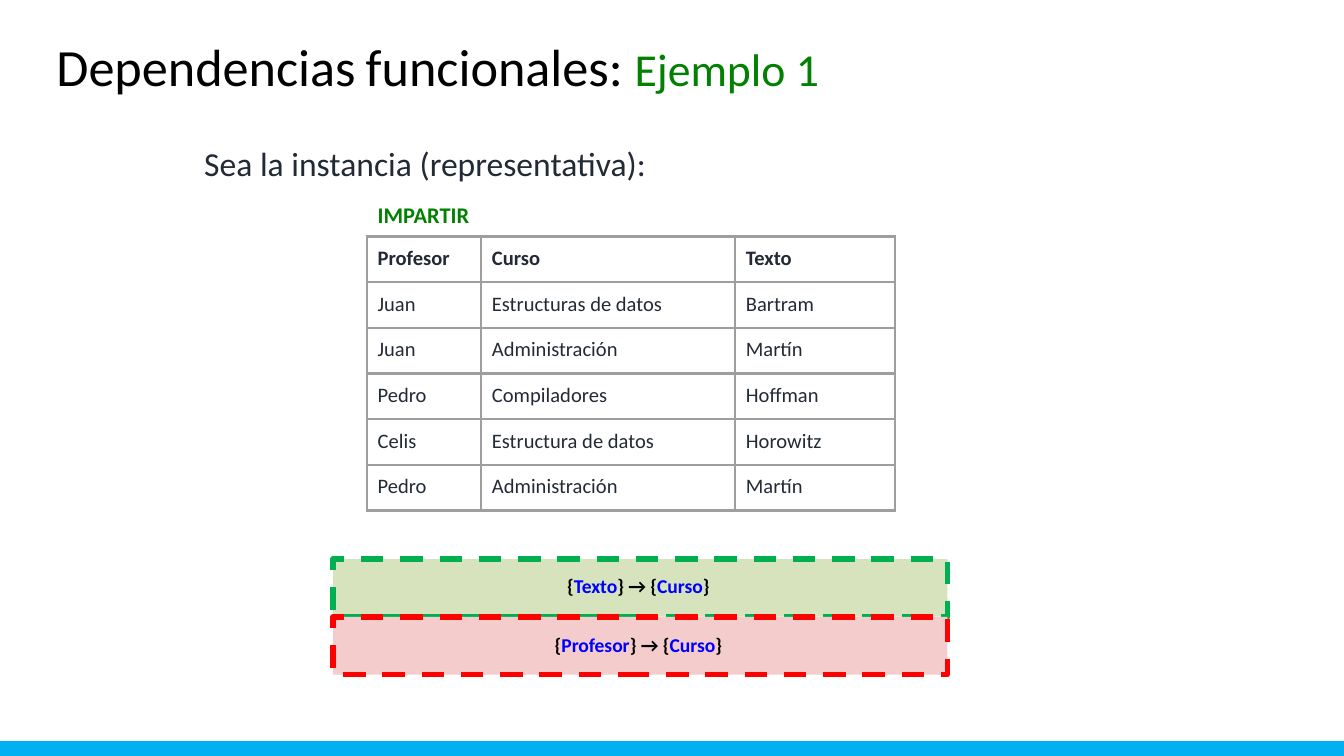
from dataclasses import dataclass
from typing import NamedTuple

from lxml.etree import SubElement
from pptx import Presentation
from pptx.dml.color import RGBColor
from pptx.enum.dml import MSO_LINE
from pptx.enum.shapes import MSO_SHAPE
from pptx.enum.text import MSO_ANCHOR, PP_ALIGN
from pptx.oxml.ns import qn
from pptx.util import Inches, Pt


@dataclass(frozen=True)
class Theme:
    font: str = "Calibri"
    black: str = "000000"
    dark: str = "222A35"
    green: str = "028001"
    blue: str = "0000FF"
    sky: str = "00B0F0"
    grid: str = "9E9E9E"
    title: float = 28
    space: float = 24
    subtitle: float = 24.5
    lead: float = 18
    caption: float = 12
    cell: float = 11
    rule: float = 10.5


class Run(NamedTuple):
    text: str
    size: float
    color: str
    bold: bool = False


class Box(NamedTuple):
    left: float
    top: float
    width: float
    height: float


class Dependency(NamedTuple):
    source: str
    target: str
    fill: str
    line: str


T = Theme()
SIDE = 0.08
PAD = 0.07
TABLE = Box(2.73, 1.76, 3.93, 2.04)
COLUMNS = (0.85, 1.89, 1.19)
ROWS = (
    ("Profesor", "Curso", "Texto"),
    ("Juan", "Estructuras de datos", "Bartram"),
    ("Juan", "Administración", "Martín"),
    ("Pedro", "Compiladores", "Hoffman"),
    ("Celis", "Estructura de datos", "Horowitz"),
    ("Pedro", "Administración", "Martín"),
)
BAND = Box(2.48, 4.16, 4.57, 0.43)
LABEL = Box(2.9, 4.2, 3.7, 0.32)
LABEL_STEP = 0.44
DEPENDENCIES = (
    Dependency("Texto", "Curso", "D6E3BC", "00B050"),
    Dependency("Profesor", "Curso", "F4CCCC", "FF0000"),
)


def rgb(color: str) -> RGBColor:
    return RGBColor.from_string(color)


def add_runs(p, runs: tuple[Run, ...]) -> None:
    for run in runs:
        r = p.add_run()
        r.text = run.text
        font = {"name": T.font, "size": Pt(run.size), "bold": run.bold}
        for name, value in font.items():
            setattr(r.font, name, value)
        r.font.color.rgb = rgb(run.color)


def set_margins(target, pad: float) -> None:
    margins = {"left": SIDE, "right": SIDE, "top": pad, "bottom": pad}
    for side, value in margins.items():
        setattr(target, f"margin_{side}", Inches(value))


def add_text(s, box: Box, runs: tuple[Run, ...], pad: float = PAD,
             anchor=MSO_ANCHOR.TOP, **paragraph) -> None:
    tf = s.shapes.add_textbox(*map(Inches, box)).text_frame
    tf.word_wrap = True
    tf.vertical_anchor = anchor
    set_margins(tf, pad)
    p = tf.paragraphs[0]
    for name, value in paragraph.items():
        setattr(p, name, value)
    add_runs(p, runs)


def add_rect(s, box: Box, fill: str, line: str, width: float, dash=None) -> None:
    sp = s.shapes.add_shape(MSO_SHAPE.RECTANGLE, *map(Inches, box))
    sp.shadow.inherit = False
    sp.fill.solid()
    sp.fill.fore_color.rgb = rgb(fill)
    sp.line.color.rgb = rgb(line)
    sp.line.width = Pt(width)
    if dash is not None:
        sp.line.dash_style = dash


def border_cell(cell) -> None:
    tcPr = cell._tc.get_or_add_tcPr()
    for side in ("a:lnL", "a:lnR", "a:lnT", "a:lnB"):
        ln = SubElement(tcPr, qn(side), w=str(Pt(1.5)))
        fill = SubElement(ln, qn("a:solidFill"))
        SubElement(fill, qn("a:srgbClr"), val=T.grid)


def add_grid(s) -> None:
    table = s.shapes.add_table(len(ROWS), len(COLUMNS), *map(Inches, TABLE)).table
    table.first_row = table.horz_banding = False
    for column, width in zip(table.columns, COLUMNS):
        column.width = Inches(width)
    for i, row in enumerate(ROWS):
        table.rows[i].height = Inches(TABLE.height / len(ROWS))
        for j, text in enumerate(row):
            cell = table.cell(i, j)
            set_margins(cell, PAD)
            border_cell(cell)
            cell.fill.background()
            add_runs(cell.text_frame.paragraphs[0],
                     (Run(text, T.cell, T.dark, i == 0),))


def add_dependencies(s) -> None:
    for i, dep in enumerate(DEPENDENCIES):
        add_rect(s, BAND._replace(top=BAND.top + i * BAND.height),
                 dep.fill, dep.line, 3, MSO_LINE.DASH)
    for i, dep in enumerate(DEPENDENCIES):
        parts = ("{", dep.source, "} → {", dep.target, "}")
        runs = tuple(Run(text, T.rule, T.blue if j % 2 else T.black, True)
                     for j, text in enumerate(parts))
        add_text(s, LABEL._replace(top=LABEL.top + i * LABEL_STEP), runs,
                 alignment=PP_ALIGN.CENTER)


def main() -> None:
    prs = Presentation()
    prs.slide_width = Inches(10)
    prs.slide_height = Inches(10 * 9 / 16)
    s = prs.slides.add_slide(prs.slide_layouts[6])
    add_rect(s, Box(0, 5.52, 10, 0.11), T.sky, T.sky, 0.75)
    add_text(s, Box(0.34, 0.17, 9.32, 0.69), (
        Run("Dependencias", T.title, T.black),
        Run(" ", T.space, T.black),
        Run("funcionales: ", T.title, T.black),
        Run("Ejemplo 1", T.subtitle, T.green),
    ), 0.04, MSO_ANCHOR.MIDDLE, line_spacing=0.9)
    add_text(s, Box(1.44, 0.87, 4.87, 0.68),
             (Run("Sea la instancia (representativa):", T.lead, T.dark),),
             anchor=MSO_ANCHOR.MIDDLE)
    add_grid(s)
    add_text(s, Box(TABLE.left, 1.46, 1.21, 0.29),
             (Run("IMPARTIR", T.caption, T.green, True),), 0.04)
    add_dependencies(s)
    prs.save("out.pptx")


if __name__ == "__main__":
    main()
